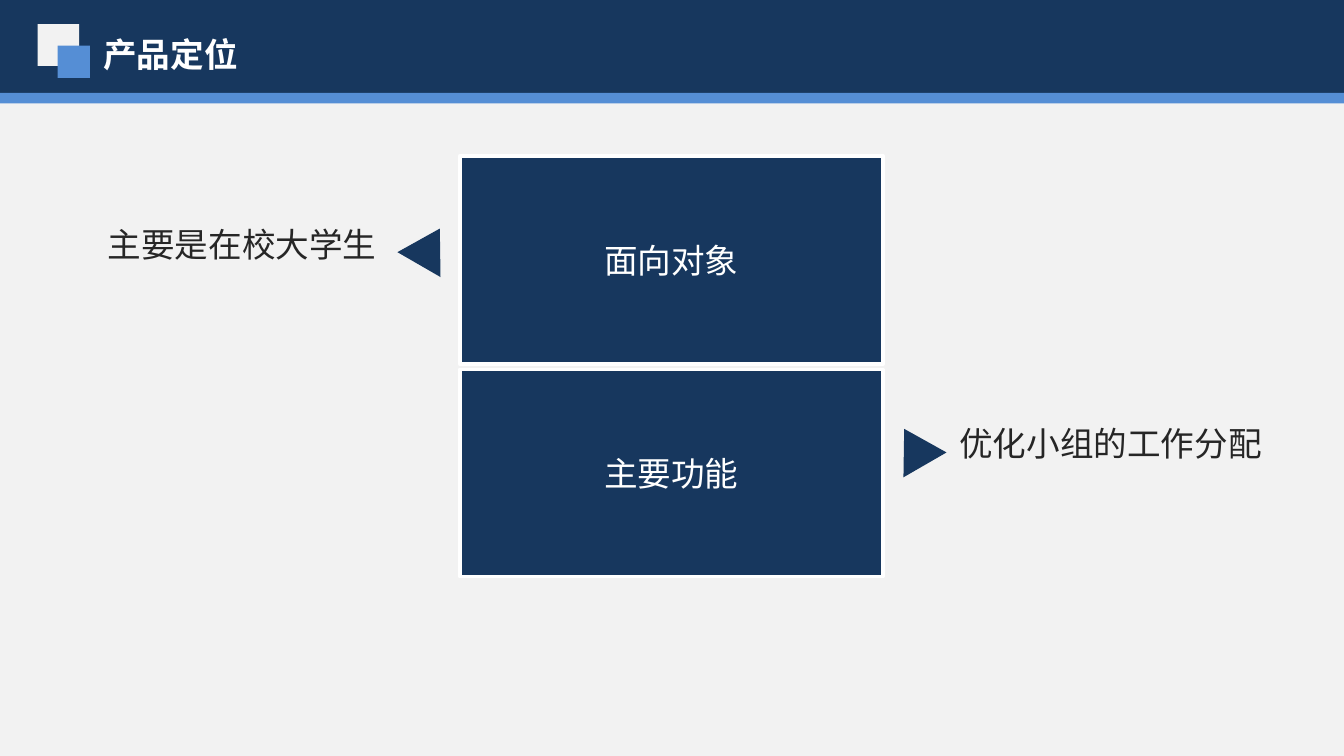
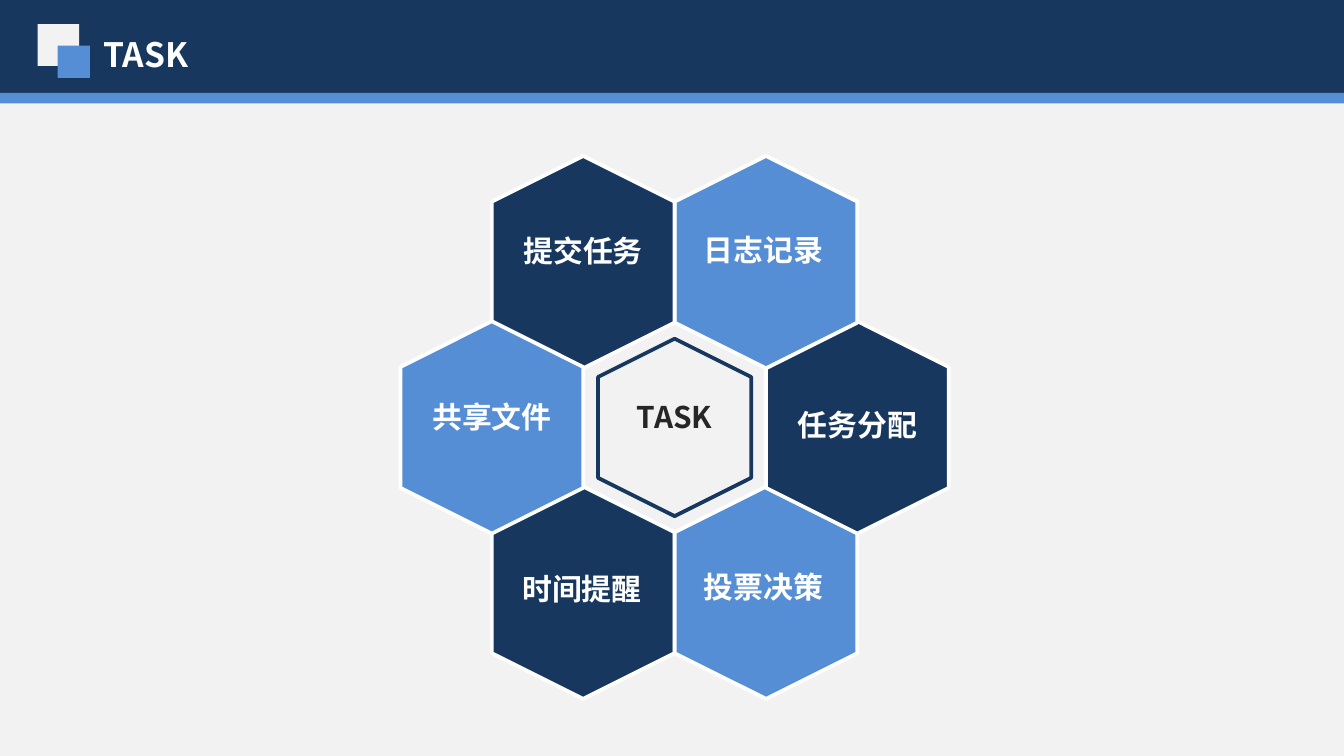
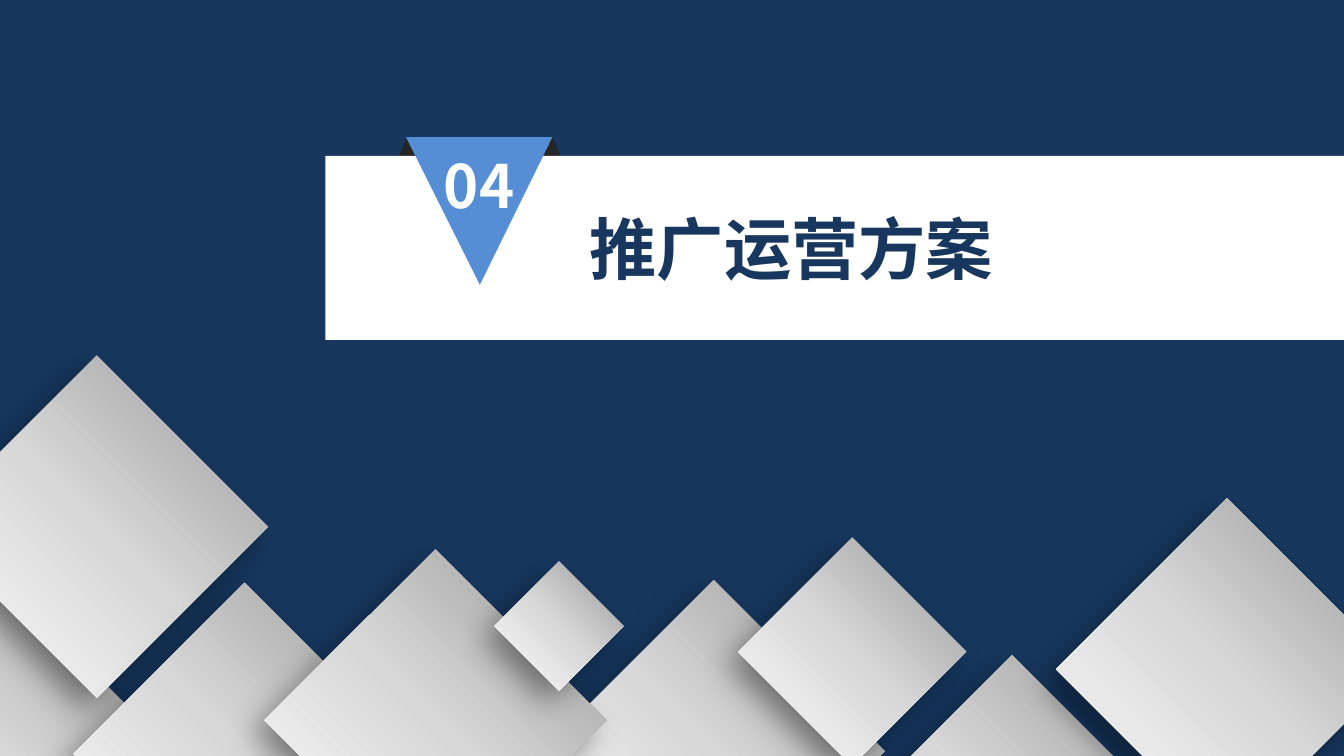
import copy
import pptx
import pptx.util
import pptx.dml.color
import pptx.enum.shapes
import pptx.enum.text
import pptx.oxml
import pptx.oxml.ns
from dataclasses import dataclass

Inches = pptx.util.Inches
Kind = pptx.enum.shapes.MSO_SHAPE
Align = pptx.enum.text.PP_ALIGN
Anchor = pptx.enum.text.MSO_ANCHOR
Fit = pptx.enum.text.MSO_AUTO_SIZE
qn = pptx.oxml.ns.qn


@dataclass(frozen=True)
class Theme:
    font: str = "Noto Sans CJK SC"
    navy: str = "17375E"
    blue: str = "558ED5"
    pale: str = "F2F2F2"
    white: str = "FFFFFF"
    ink: str = "262626"
    steel: tuple = ((0, "979797"), (0.5, "D7D7D7"), (1, "FFFFFF"))
    label: int = 16
    body: int = 18
    number: int = 32
    head: int = 36
    edge: int = 2


T = Theme()
WIDE = 10
HIGH = WIDE * 9 / 16

# Slide 1: title, boxes (text, top, height), notes (text, left, top, align),
# arrows (left, top, turn)
AIM = "产品定位"
BOXES = [("面向对象", 1.16, 1.55), ("主要功能", 2.75, 1.54)]
NOTES = [("主要是在校大学生", 0.27, 1.62, Align.RIGHT),
         ("优化小组的工作分配", 7.04, 3.1, Align.LEFT)]
ARROWS = [(3.01, 1.68, 30), (6.62, 3.17, 330)]

# Slide 2: cells (text, column, row, fill, label shift) around the hub
HUB = "TASK"
CELLS = [
    ("时间提醒", -0.5, 1, T.navy, (-0.01, -0.03)),
    ("投票决策", 0.5, 1, T.blue, (-0.02, -0.04)),
    ("任务分配", 1, 0, T.navy, (0, -0.02)),
    ("日志记录", 0.5, -1, T.blue, (-0.02, -0.09)),
    ("提交任务", -0.5, -1, T.navy, (0, -0.08)),
    ("共享文件", -1, 0, T.blue, (0, -0.08)),
]

# Slide 3: section number, heading, tiles (left, top, side)
PART, PLAN = "04", "推广运营方案"
TILES = [
    (-1.07, 4.51, 1.8), (-0.18, 3.02, 1.8), (0.92, 4.71, 1.8),
    (4.41, 4.69, 1.8), (2.34, 4.46, 1.8), (5.74, 4.25, 1.2),
    (6.63, 5.25, 1.8), (8.23, 4.08, 1.8), (3.82, 4.32, 0.68),
]
SHADE = (
    '<a:outerShdw xmlns:a="http://schemas.openxmlformats.org/drawingml/2006/main"'
    ' blurRad="215900" dist="114300" dir="8100000" algn="tr" rotWithShape="0">'
    '<a:srgbClr val="000000"><a:alpha val="40000"/></a:srgbClr></a:outerShdw>')


def tint(code):
    return pptx.dml.color.RGBColor.from_string(code)


def paint(item, fill=None, line=None):
    item.shadow.inherit = False
    if fill:
        item.fill.solid()
        item.fill.fore_color.rgb = tint(fill)
    else:
        item.fill.background()
    if line:
        item.line.color.rgb = tint(line)
        item.line.width = pptx.util.Pt(T.edge)
    else:
        item.line.fill.background()


def shape(slide, kind, x, y, w, h, fill=None, line=None, turn=0):
    item = slide.shapes.add_shape(kind, Inches(x), Inches(y), Inches(w), Inches(h))
    paint(item, fill, line)
    item.rotation = turn
    return item


def write(item, text, size, color, bold=False, align=Align.LEFT):
    item.text_frame.text = text
    para = item.text_frame.paragraphs[0]
    para.alignment = align
    run = para.runs[0]
    run.font.size = pptx.util.Pt(size)
    run.font.bold = bold
    run.font.color.rgb = tint(color)
    run.font.name = T.font
    east = run.font._element.makeelement(qn("a:ea"), {"typeface": T.font})
    run.font._element.append(east)
    return para


def label(slide, text, x, y, w, h, size, color, bold=False, align=Align.LEFT,
          wrap=True, grow=True):
    box = slide.shapes.add_textbox(Inches(x), Inches(y), Inches(w), Inches(h))
    box.text_frame.word_wrap = wrap
    box.text_frame.auto_size = Fit.SHAPE_TO_FIT_TEXT if grow else Fit.NONE
    write(box, text, size, color, bold, align)


def blank(deck):
    return deck.slides.add_slide(deck.slide_layouts[6])


def page(deck, title, width):
    """Blank slide with the title band and its two squares."""
    slide = blank(deck)
    shape(slide, Kind.RECTANGLE, 0, 0, WIDE, 0.76, T.navy)
    shape(slide, Kind.RECTANGLE, 0, 0.69, WIDE, 0.08, T.blue)
    label(slide, title, 0.67, 0.2, width, 0.4, T.body, T.white, True)
    shape(slide, Kind.RECTANGLE, 0.28, 0.18, 0.31, 0.31, T.pale)
    shape(slide, Kind.RECTANGLE, 0.43, 0.34, 0.24, 0.24, T.blue)
    return slide


def aim(deck):
    slide = page(deck, AIM, 2.52)
    for text, y, h in BOXES:
        box = shape(slide, Kind.RECTANGLE, 3.42, y, 3.15, h, T.navy, T.white)
        write(box, text, T.body, T.white, align=Align.CENTER)
    for x, y, turn in ARROWS:
        shape(slide, Kind.ISOSCELES_TRIANGLE, x, y, 0.37, 0.31, T.navy, turn=turn)
    for text, x, y, align in NOTES:
        label(slide, text, x, y, 2.63, 1.19, T.body, T.ink, align=align, grow=False)


def comb(deck):
    slide = page(deck, HUB, 2.76)
    midx, midy, long, wide, step = 5.02, 3.18, 1.58, 1.36, 1.23

    def cell(x, y, w, h, fill, line):
        shape(slide, Kind.HEXAGON, x - w / 2, y - h / 2, w, h, fill, line, 270)

    def name(text, x, y, w, color):
        high = 0.37
        label(slide, text, x - w / 2, y - high / 2, w, high, T.label, color, True,
              Align.CENTER)

    cell(midx, midy, 1.32, 1.14, None, T.navy)
    spots = [(midx + col * wide, midy + row * step) for _, col, row, _, _ in CELLS]
    for (x, y), (_, _, _, fill, _) in zip(spots, CELLS):
        cell(x, y, long, wide, fill, T.white)
    for (x, y), (text, _, _, _, (dx, dy)) in zip(spots, CELLS):
        name(text, x + dx, y + dy, 1.15, T.white)
    name(HUB, midx, midy - 0.08, 0.91, T.ink)


def tile(slide, x, y, side):
    item = shape(slide, Kind.RECTANGLE, x, y, side, side, turn=45)
    item.fill.gradient()
    item.fill.gradient_angle = 270
    stops = item._element.spPr.find(".//" + qn("a:gsLst"))
    stops.append(copy.deepcopy(stops[0]))
    for stop, (place, color) in zip(item.fill.gradient_stops, T.steel):
        stop.position = place
        stop.color.rgb = tint(color)
    item._element.spPr.find(qn("a:effectLst")).append(pptx.oxml.parse_xml(SHADE))


def part(deck):
    slide = blank(deck)
    shape(slide, Kind.RECTANGLE, 0, 0, WIDE, HIGH, T.navy)
    fold = shape(slide, Kind.TRAPEZOID, 2.93, 1.02, 1.28, 0.24, T.ink)
    fold.adjustments[0] = 0.4
    shape(slide, Kind.RECTANGLE, 2.42, 1.16, WIDE - 2.42, 1.37, T.white)

    # Numbered pennant
    path = slide.shapes.build_freeform(Inches(3.02), Inches(1.02))
    path.add_line_segments([(Inches(4.11), Inches(1.02)),
                            (Inches(3.57), Inches(2.12))], close=True)
    flag = path.convert_to_shape()
    paint(flag, T.blue)
    para = write(flag, PART, T.number, T.white, True, Align.CENTER)
    para.space_before = pptx.util.Pt(24)
    frame = flag.text_frame
    frame.vertical_anchor = Anchor.MIDDLE
    frame.margin_top, frame.margin_bottom = 0, Inches(0.39)

    label(slide, PLAN, 4.29, 1.49, 3.23, 0.71, T.head, T.navy, True, wrap=False)
    for spot in TILES:
        tile(slide, *spot)


def main():
    deck = pptx.Presentation()
    deck.slide_width, deck.slide_height = Inches(WIDE), Inches(HIGH)
    back = deck.slide_master.background.fill
    back.solid()
    back.fore_color.rgb = tint(T.pale)
    for build in (aim, comb, part):
        build(deck)
    deck.save("out.pptx")


if __name__ == "__main__":
    main()
